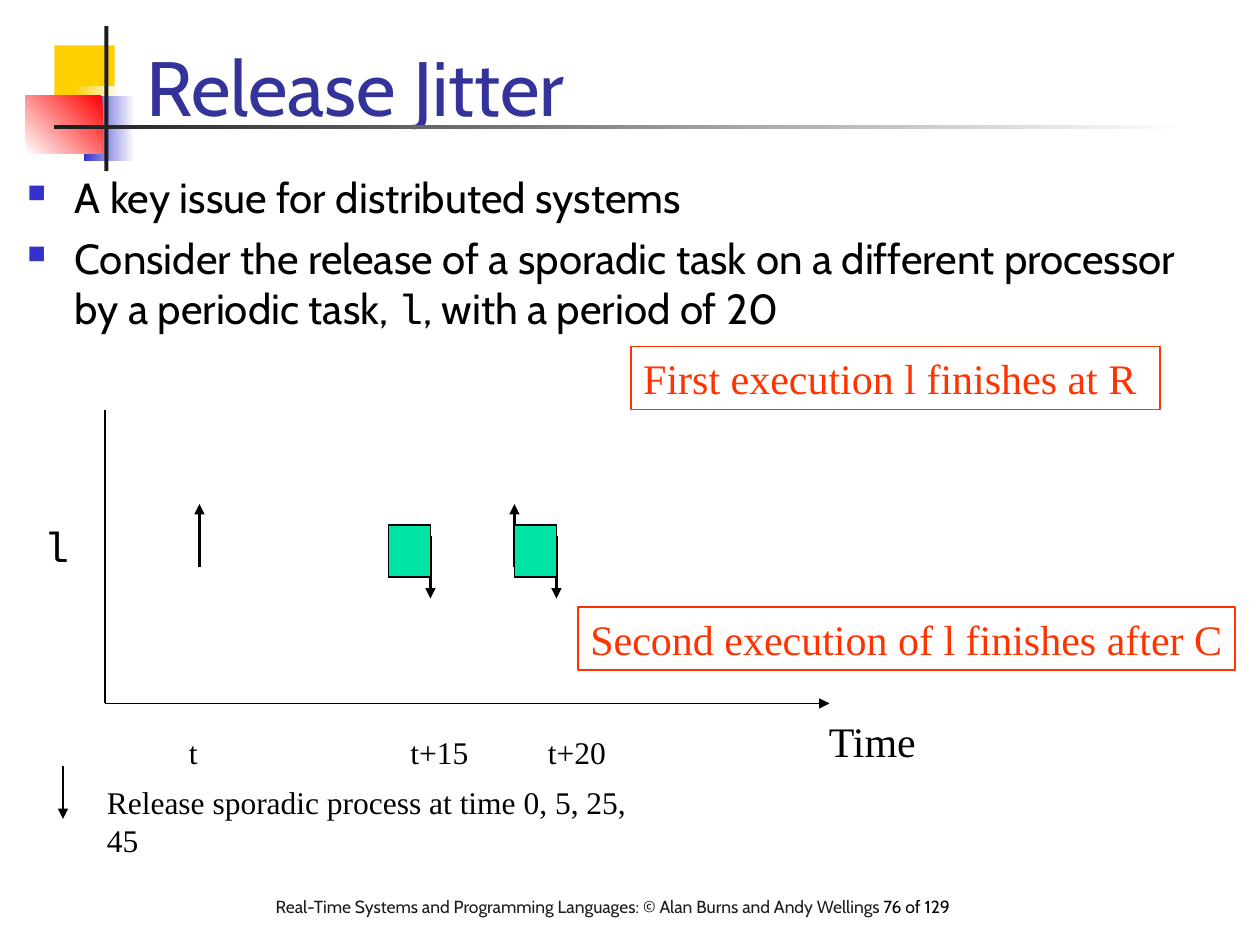
from lxml.etree import SubElement
from pptx import Presentation
from pptx.dml.color import RGBColor
from pptx.enum.shapes import MSO_CONNECTOR, MSO_SHAPE
from pptx.enum.text import MSO_ANCHOR, PP_ALIGN
from pptx.oxml.ns import qn
from pptx.util import Pt

SANS, SERIF, MONO = "Cabin", "Times New Roman", "Courier New"
BLACK, DARK, RED, GREEN = "000000", "1C1C1C", "FF3300", "00E4A8"


def color(code):
    return RGBColor.from_string(code)


def style(font, size, name, code):
    font.size, font.name = Pt(size), name
    font.color.rgb = color(code)


def place(shape, box):
    shape.left, shape.top, shape.width, shape.height = map(Pt, box)


def add_rect(slide, box, fill=None, line=None, angle=0):
    rect = slide.shapes.add_shape(MSO_SHAPE.RECTANGLE, *map(Pt, box))
    rect.shadow.inherit = False
    if fill is None:
        rect.fill.background()
    elif isinstance(fill, str):
        rect.fill.solid()
        rect.fill.fore_color.rgb = color(fill)
    else:
        rect.fill.gradient()
        rect.fill.gradient_angle = angle
        for stop, code in zip(rect.fill.gradient_stops, fill):
            stop.color.rgb = color(code)
    if line:
        rect.line.color.rgb = color(line)
        rect.line.width = Pt(1)
    else:
        rect.line.fill.background()
    return rect


def add_line(slide, start, end, width=1, arrow=True):
    line = slide.shapes.add_connector(
        MSO_CONNECTOR.STRAIGHT, *map(Pt, start + end))
    line.line.color.rgb = color(BLACK)
    line.line.width = Pt(width)
    if arrow:
        SubElement(line.line._get_or_add_ln(), qn("a:tailEnd"), type="triangle")
    SubElement(line._element.spPr, qn("a:effectLst"))


def write(shape, text, size, name=SERIF, code=BLACK):
    frame = shape.text_frame
    frame.word_wrap = False
    frame.vertical_anchor = MSO_ANCHOR.TOP
    para = frame.paragraphs[0]
    para.text = text
    para.alignment = PP_ALIGN.LEFT
    style(para.font, size, name, code)


def add_label(slide, box, text, size, name=SERIF):
    write(slide.shapes.add_textbox(*map(Pt, box)), text, size, name)


def add_note(slide, box, text):
    write(add_rect(slide, box, line=RED), text, 24, code=RED)


def add_bullet(para, runs):
    props = para._p.get_or_add_pPr()
    props.set("marL", str(Pt(27)))
    props.set("indent", str(-Pt(27)))
    tint = SubElement(props, qn("a:buClr"))
    SubElement(tint, qn("a:srgbClr"), val="3333CC")
    SubElement(props, qn("a:buSzPct"), val="60000")
    SubElement(props, qn("a:buChar"), char="■")
    for text, name in runs:
        run = para.add_run()
        run.text = text
        style(run.font, 24, name, BLACK)


def add_logo(slide):
    add_rect(slide, (31, 26, 34.5, 37.5), "FFCF01")
    add_rect(slide, (42.5, 49, 26, 37.5), ("FFFFFF", "FFCF01"), angle=180)
    add_rect(slide, (48, 54.7, 29, 37.5), ("FFFFFF", "3333CC"), angle=180)
    add_rect(slide, (14.4, 54.7, 44, 33.2), ("FF0000", "FFFFFF"), angle=225)
    add_rect(slide, (59.7, 15, 2.3, 82.8), DARK)
    add_rect(slide, (31, 71.3, 648, 2.5), ("FFFFFF", DARK), angle=180)


def add_title(slide):
    title = slide.shapes.title
    place(title, (76.3, 9.4, 613.5, 69.8))
    write(title, "Release Jitter", 44, SANS, "333399")
    title.text_frame.word_wrap = True
    title.text_frame.vertical_anchor = MSO_ANCHOR.BOTTOM


def add_body(slide):
    frame = slide.shapes.add_textbox(
        Pt(8.6), Pt(94.3), Pt(685.5), Pt(112.3)).text_frame
    frame.word_wrap = True
    add_bullet(frame.paragraphs[0], [("A key issue for distributed systems", SANS)])
    para = frame.add_paragraph()
    para.space_before = Pt(6)
    add_bullet(para, [
        ("Consider the release of a sporadic task on a different processor "
         "by a periodic task, ", SANS),
        ("l", MONO),
        (", with a period of 20", SANS)])


def add_foot(slide):
    frame = slide.shapes.add_textbox(
        Pt(150.5), Pt(508.3), Pt(436.3), Pt(33)).text_frame
    frame.word_wrap = True
    for text, code in (
            ("Real-Time Systems and Programming Languages: "
             "© Alan Burns and Andy Wellings ", DARK),
            ("76 of 129", BLACK)):
        run = frame.paragraphs[0].add_run()
        run.text = text
        style(run.font, 10, SANS, code)


def add_chart(slide):
    add_line(slide, (60, 234), (60, 402), arrow=False)
    add_line(slide, (60, 402), (474, 402))
    add_label(slide, (466.5, 405.5, 65, 36), "Time", 24)
    add_label(slide, (18, 294, 29, 36), "l", 24, MONO)
    for left, width, text in (
            (100.8, 19.4, "t"), (227.5, 47.5, "t+15"), (306, 47.5, "t+20")):
        add_label(slide, (left, 415.5, width, 29), text, 18)
    for left in (114, 294):
        add_line(slide, (left, 324), (left, 288), 1.5)
    for left in (222, 294):
        add_line(slide, (left + 24, 306), (left + 24, 342), 1.5)
        add_rect(slide, (left, 300, 24, 30), GREEN, BLACK)
    add_note(slide, (360.5, 198, 302.5, 36), "First execution l finishes at R")
    add_note(slide, (330.3, 347, 375.5, 36),
             "Second execution of l finishes after C")
    add_line(slide, (36, 438), (36, 468))
    add_label(slide, (54, 443.8, 333.5, 29),
              "Release sporadic process at time 0, 5, 25, 45", 18)


def main():
    deck = Presentation()
    deck.slide_width, deck.slide_height = Pt(720), Pt(540)
    slide = deck.slides.add_slide(deck.slide_layouts[5])
    add_logo(slide)
    add_foot(slide)
    add_title(slide)
    add_body(slide)
    add_chart(slide)
    deck.save("out.pptx")


if __name__ == "__main__":
    main()
